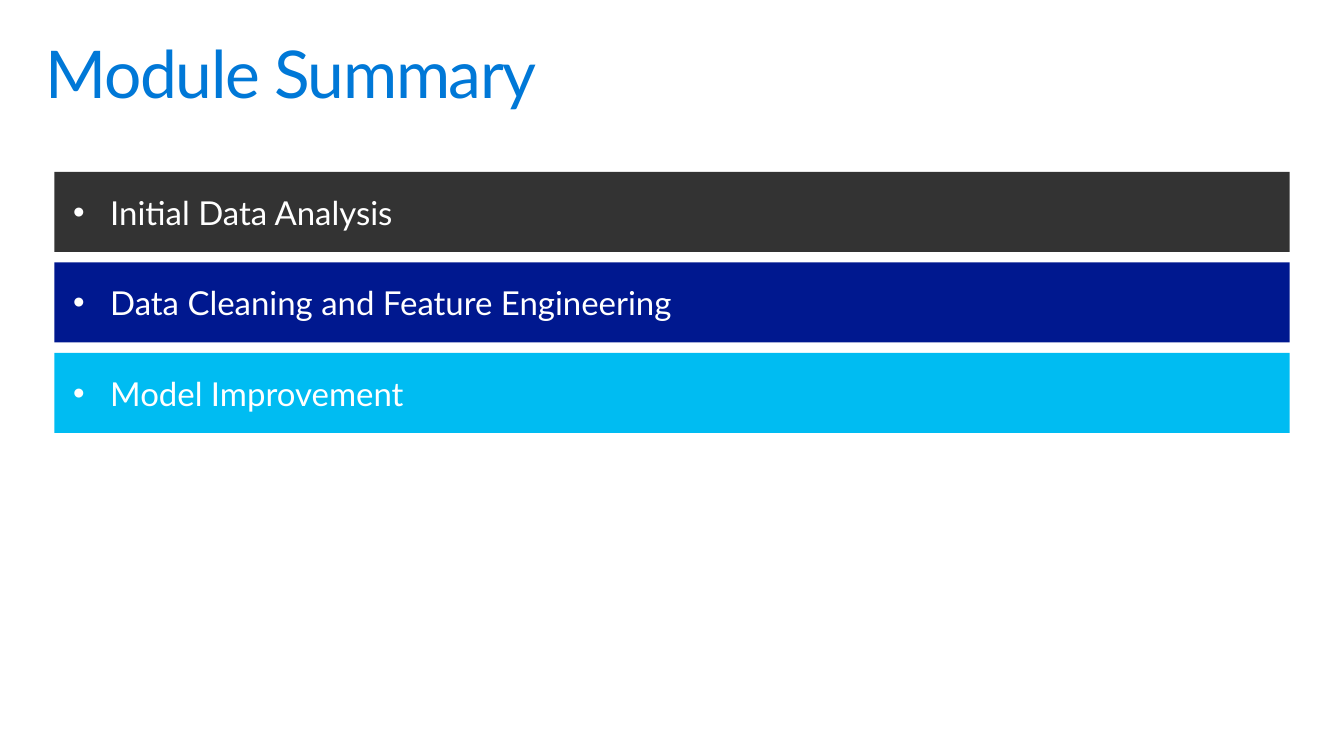
from lxml import etree
from pptx import Presentation
from pptx import util as u
from pptx.dml.color import RGBColor
from pptx.enum import shapes, text
from pptx.oxml import ns

FONT = "Lato"
TITLE_BLUE = RGBColor(0x00, 0x78, 0xD7)
WHITE = RGBColor(0xFF, 0xFF, 0xFF)
CHARCOAL = RGBColor(0x33, 0x33, 0x33)
NAVY = RGBColor(0x00, 0x18, 0x8F)
CYAN = RGBColor(0x00, 0xBC, 0xF2)

TOPICS = [
    ("Initial Data Analysis", CHARCOAL),
    ("Data Cleaning and Feature Engineering", NAVY),
    ("Model Improvement", CYAN),
]
BAR_HEIGHT = 58.3
BAR_GAP = 7.6
BULLET_INDENT = 27


def set_margins(frame, horizontal, vertical):
    frame.margin_left = frame.margin_right = u.Pt(horizontal)
    frame.margin_top = frame.margin_bottom = u.Pt(vertical)


def add_run(paragraph, wording, size, color):
    run = paragraph.add_run()
    run.text = wording
    run.font.name = FONT
    run.font.size = u.Pt(size)
    run.font.color.rgb = color
    return run


def add_bullet(paragraph, indent):
    properties = paragraph._p.get_or_add_pPr()
    properties.set("marL", str(u.Pt(indent)))
    properties.set("indent", str(-u.Pt(indent)))
    etree.SubElement(properties, ns.qn("a:buFont")).set("typeface", "Arial")
    etree.SubElement(properties, ns.qn("a:buChar")).set("char", "•")


def add_title(slide, left, top, width, height):
    title = slide.shapes.add_textbox(u.Pt(left), u.Pt(top), u.Pt(width), u.Pt(height))
    frame = title.text_frame
    frame.word_wrap = True
    set_margins(frame, 11.5, 7.2)
    paragraph = frame.paragraphs[0]
    paragraph.line_spacing = 0.9
    run = add_run(paragraph, "Module Summary", 48, TITLE_BLUE)
    run.font._element.set("spc", "-100")


def add_topic_bar(slide, left, top, width, height, topic, color):
    bar = slide.shapes.add_shape(
        shapes.MSO_SHAPE.RECTANGLE, u.Pt(left), u.Pt(top), u.Pt(width), u.Pt(height)
    )
    bar.shadow.inherit = False
    bar.fill.solid()
    bar.fill.fore_color.rgb = color
    bar.line.fill.background()
    frame = bar.text_frame
    frame.word_wrap = True
    frame.vertical_anchor = text.MSO_ANCHOR.MIDDLE
    set_margins(frame, 13.7, 10.8)
    paragraph = frame.paragraphs[0]
    paragraph.alignment = text.PP_ALIGN.LEFT
    add_bullet(paragraph, BULLET_INDENT)
    add_run(paragraph, topic, 24, WHITE)


def add_topic_list(slide, left, top, width):
    for index, (topic, color) in enumerate(TOPICS):
        bar_top = top + index * (BAR_HEIGHT + BAR_GAP)
        add_topic_bar(slide, left, bar_top, width, BAR_HEIGHT, topic, color)


def main():
    presentation = Presentation()
    presentation.slide_width = u.Pt(979.2)
    presentation.slide_height = u.Pt(550.8)
    slide = presentation.slides.add_slide(presentation.slide_layouts[6])
    add_title(slide, 21.6, 23, 936, 72)
    add_topic_list(slide, 39.6, 125.3, 900)
    presentation.save("out.pptx")


if __name__ == "__main__":
    main()
